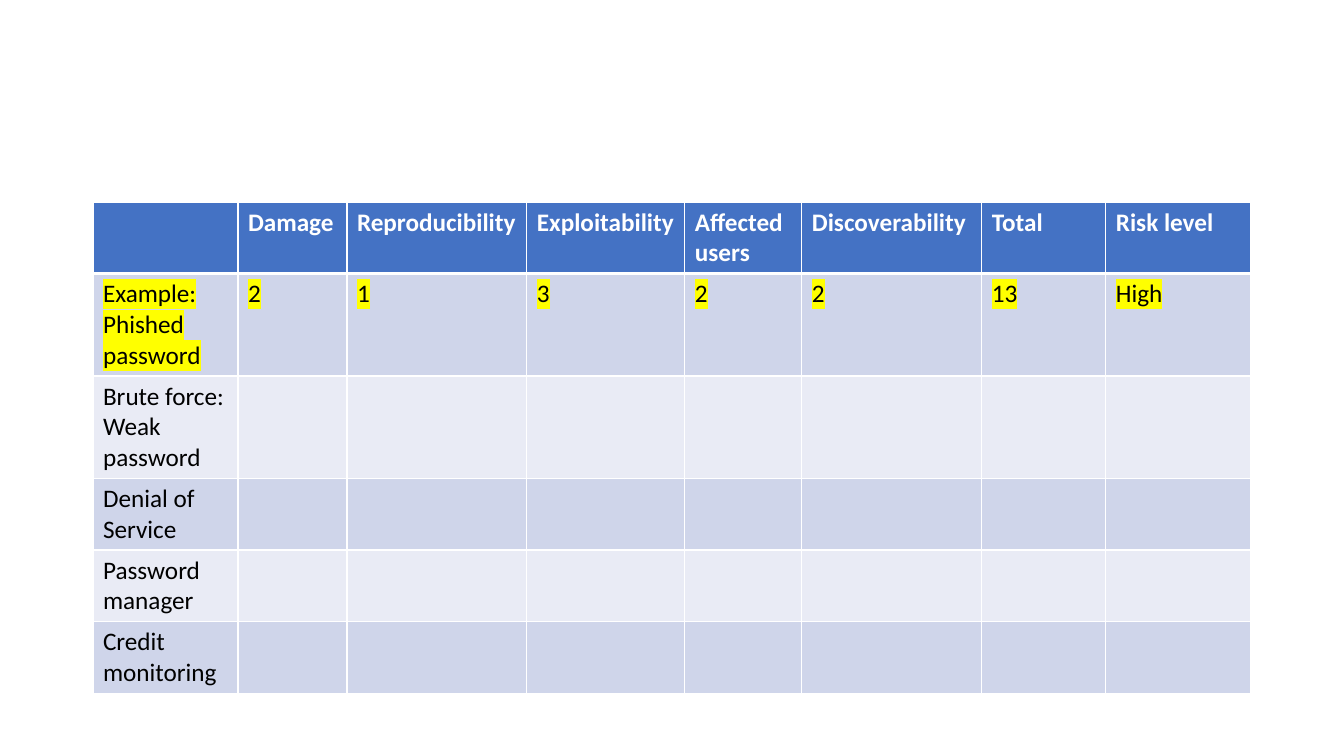
from lxml.etree import SubElement
from pptx import Presentation
from pptx.dml.color import RGBColor
from pptx.oxml.ns import qn
from pptx.util import Emu, Pt

HEADINGS = ["", "Damage", "Reproducibility", "Exploitability", "Affected users",
            "Discoverability", "Total", "Risk level"]
EXAMPLE = ["Example: Phished password", "2", "1", "3", "2", "2", "13", "High"]
THREATS = ["Brute force:\nWeak password", "Denial of Service", "Password manager",
           "Credit monitoring"]
ROWS = [HEADINGS, EXAMPLE] + [[threat] + [""] * 7 for threat in THREATS]

PAGE_WIDTH, PAGE_HEIGHT = 1344, 756
TABLE_LEFT, TABLE_TOP, TABLE_HEIGHT = 93, 202, 484
COLUMN_WIDTHS = [145, 109, 180, 158, 117, 180, 124, 145]
ROW_HEIGHT = 41

HEADER_FILL, BAND_FILLS = "4472C4", ["CFD5EA", "E9EBF5"]
WHITE, BLACK, YELLOW = "FFFFFF", "000000", "FFFF00"
HEADER_FONT = {"name": "Calibri", "size": Pt(18), "bold": True}
BODY_FONT = {"name": "Calibri", "size": Pt(18), "bold": False}


def px(length):
    return Emu(round(length * 914400 / 100.8))


def color(value):
    return RGBColor.from_string(value)


def set_borders(cell, bottom_width):
    """Add white borders of one point, with the bottom one as wide as given."""
    properties = cell._tc.get_or_add_tcPr()
    for side, width in {"L": 1, "R": 1, "T": 1, "B": bottom_width}.items():
        line = SubElement(properties, qn(f"a:ln{side}"), w=str(Pt(width)))
        fill = SubElement(line, qn("a:solidFill"))
        SubElement(fill, qn("a:srgbClr"), val=WHITE)


def highlight(span, value):
    properties = span.font._element
    marker = SubElement(properties, qn("a:highlight"))
    SubElement(marker, qn("a:srgbClr"), val=value)
    properties.find(qn("a:solidFill")).addnext(marker)


def write_cell(cell, text, row_index):
    is_header = row_index == 0
    set_borders(cell, 3 if is_header else 1)
    cell.fill.solid()
    band = BAND_FILLS[(row_index - 1) % 2]
    cell.fill.fore_color.rgb = color(HEADER_FILL if is_header else band)
    if not text:
        return
    cell.text = text
    for para in cell.text_frame.paragraphs:
        for span in para.runs:
            for name, value in (HEADER_FONT if is_header else BODY_FONT).items():
                setattr(span.font, name, value)
            span.font.color.rgb = color(WHITE if is_header else BLACK)
            if row_index == 1:
                highlight(span, YELLOW)


def main():
    deck = Presentation()
    deck.slide_width, deck.slide_height = px(PAGE_WIDTH), px(PAGE_HEIGHT)
    page = deck.slides.add_slide(deck.slide_layouts[6])
    frame = page.shapes.add_table(
        len(ROWS), len(HEADINGS), px(TABLE_LEFT), px(TABLE_TOP),
        px(sum(COLUMN_WIDTHS)), px(TABLE_HEIGHT))
    table = frame.table
    for column, width in zip(table.columns, COLUMN_WIDTHS):
        column.width = px(width)
    for row_index, texts in enumerate(ROWS):
        table.rows[row_index].height = px(ROW_HEIGHT)
        for column_index, text in enumerate(texts):
            write_cell(table.cell(row_index, column_index), text, row_index)
    frame.height = px(TABLE_HEIGHT)
    deck.save("out.pptx")


if __name__ == "__main__":
    main()
